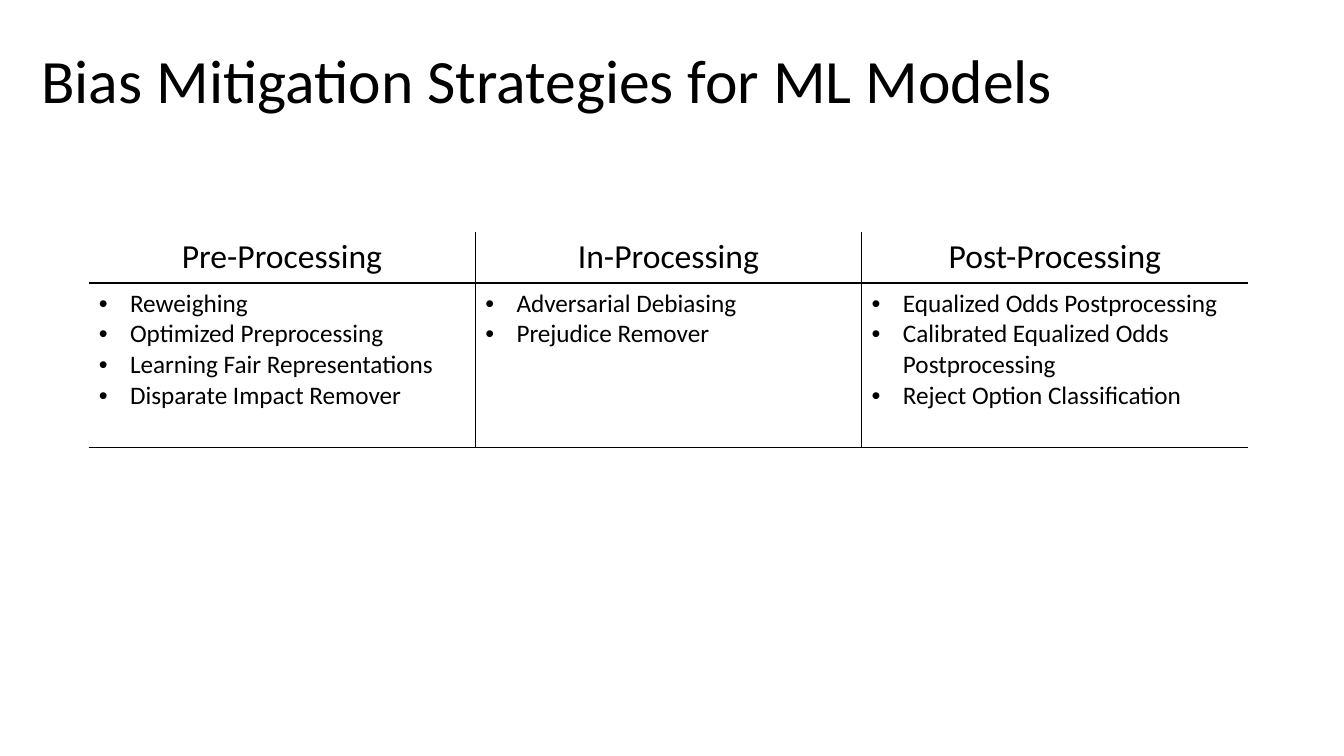
from dataclasses import dataclass
from lxml.etree import SubElement
from pptx import Presentation
from pptx.dml.color import RGBColor as RGB
from pptx.enum.text import MSO_ANCHOR as Anchor, MSO_AUTO_SIZE as Fit, PP_ALIGN as Align
from pptx.oxml.ns import qn
from pptx.util import Inches, Pt


@dataclass(frozen=True)
class Theme:
    font: str = "Calibri"
    ink: str = "000000"
    title: int = 44
    head: int = 24
    body: int = 18
    rule: int = 1


THEME = Theme()
GROUPS = {
    "Pre-Processing": [
        "Reweighing",
        "Optimized Preprocessing",
        "Learning Fair Representations",
        "Disparate Impact Remover",
    ],
    "In-Processing": ["Adversarial Debiasing", "Prejudice Remover"],
    "Post-Processing": [
        "Equalized Odds Postprocessing",
        "Calibrated Equalized Odds Postprocessing",
        "Reject Option Classification",
    ],
}


def write(para, text, size, align=Align.LEFT):
    para.alignment = align
    run = para.add_run()
    run.text = text
    font = run.font
    font.name, font.size, font.bold = THEME.font, Pt(size), False
    font.color.rgb = RGB.from_string(THEME.ink)


def bullet(para):
    props = para._p.get_or_add_pPr()
    props.set("marL", str(Inches(0.31)))
    props.set("indent", str(-Inches(0.31)))
    SubElement(props, qn("a:buFont"), typeface="Arial")
    SubElement(props, qn("a:buChar"), char="•")


def border(cell, sides):
    props = cell._tc.get_or_add_tcPr()
    for side in "LRTB":
        line = SubElement(props, qn(f"a:ln{side}"), w=str(Pt(THEME.rule)))
        if side in sides:
            fill = SubElement(line, qn("a:solidFill"))
            SubElement(fill, qn("a:srgbClr"), val=THEME.ink)
        else:
            SubElement(line, qn("a:noFill"))
    cell.fill.background()


# Heading
def heading(slide, text, left, top, width, height):
    title = slide.shapes.title
    title.left, title.top = Inches(left), Inches(top)
    title.width, title.height = Inches(width), Inches(height)
    frame = title.text_frame
    frame.word_wrap, frame.auto_size = True, Fit.NONE
    frame.vertical_anchor = Anchor.MIDDLE
    para = frame.paragraphs[0]
    para.line_spacing = 0.9
    write(para, text, THEME.title)


# Table with one column per stage, ruled inside and below
def stages(slide, groups, left, top, width, height):
    count = len(groups)
    frame = slide.shapes.add_table(
        2, count, Inches(left), Inches(top), Inches(width), Inches(height))
    table = frame.table
    table.first_row = table.horz_banding = False
    table.rows[0].height = Inches(0.5)
    table.rows[1].height = Inches(height - 0.5)
    for col, (name, items) in enumerate(groups.items()):
        table.columns[col].width = Inches(width / count)
        sides = ("L" if col else "") + ("R" if col < count - 1 else "")
        head, body = table.cell(0, col), table.cell(1, col)
        border(head, sides + "B")
        border(body, sides + "TB")
        write(head.text_frame.paragraphs[0], name, THEME.head, Align.CENTER)
        text = body.text_frame
        for row, item in enumerate(items):
            para = text.add_paragraph() if row else text.paragraphs[0]
            bullet(para)
            write(para, item, THEME.body)


def main():
    deck = Presentation()
    deck.slide_width, deck.slide_height = Inches(13.33), Inches(7.5)
    slide = deck.slides.add_slide(deck.slide_layouts[5])
    heading(slide, "Bias Mitigation Strategies for ML Models", 0.31, 0.1, 11.5, 1.45)
    stages(slide, GROUPS, 0.88, 2.3, 11.5, 2.13)
    deck.save("out.pptx")


if __name__ == "__main__":
    main()
